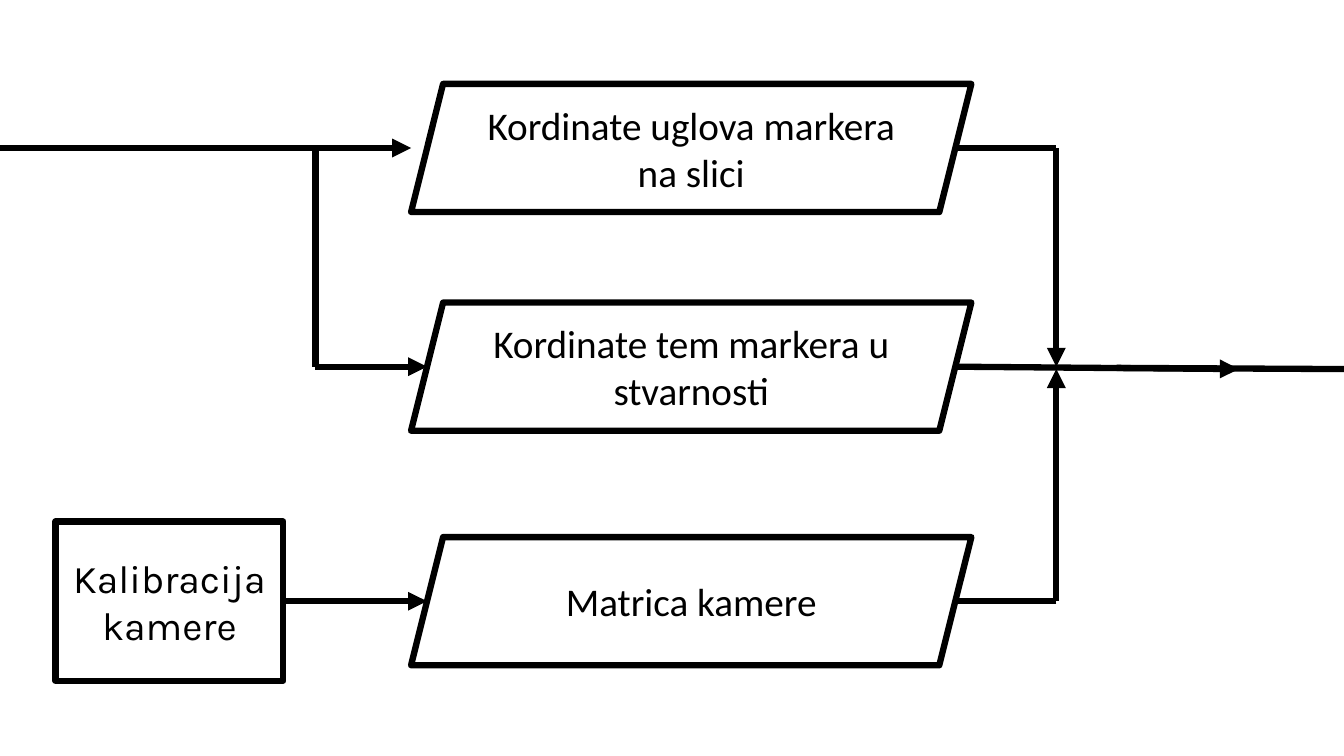
"""Builds the flowchart slide for marker coordinates and camera calibration."""
from typing import NamedTuple

from lxml.etree import SubElement
from pptx import Presentation
from pptx.dml.color import RGBColor
from pptx.enum.shapes import MSO_CONNECTOR, MSO_SHAPE
from pptx.enum.text import MSO_ANCHOR, PP_ALIGN
from pptx.oxml.ns import qn
from pptx.slide import Slide
from pptx.util import Cm, Pt

BLACK = RGBColor(0x00, 0x00, 0x00)
LINE_WIDTH = Pt(4.5)
TEXT_SIZE = Pt(28)

SLIDE_W, SLIDE_H = 33.87, 19.05
DATA_X, DATA_W, DATA_H = 10.36, 14.12, 3.23
SLANT = 0.4
IMAGE_Y, WORLD_Y, CAMERA_Y = 3.73, 9.24, 15.15
DATA_IN, DATA_OUT = DATA_X + SLANT, DATA_X + DATA_W - SLANT
BRANCH_X, MERGE_X, EXIT_X = 7.95, 26.62, 31.22
EXIT_Y = 9.3
CALIB_X, CALIB_W, CALIB_H = 1.4, 5.74, 4.01


class Box(NamedTuple):
    """A labelled shape centred vertically on mid_y."""
    text: str
    kind: MSO_SHAPE
    x: float
    mid_y: float
    w: float
    h: float
    font: str


class Link(NamedTuple):
    """A straight line with an optional arrowhead at its end."""
    x1: float
    y1: float
    x2: float
    y2: float
    arrow: bool = False


def data_box(text: str, mid_y: float) -> Box:
    """Describes one data parallelogram."""
    return Box(text, MSO_SHAPE.PARALLELOGRAM, DATA_X, mid_y, DATA_W, DATA_H, "Calibri")


BOXES = [
    data_box("Kordinate uglova markera na slici", IMAGE_Y),
    data_box("Kordinate tem markera u stvarnosti", WORLD_Y),
    data_box("Matrica kamere", CAMERA_Y),
    Box("Kalibracija kamere", MSO_SHAPE.RECTANGLE, CALIB_X, CAMERA_Y, CALIB_W, CALIB_H, "Karla"),
]

LINKS = [
    Link(0, IMAGE_Y, DATA_X, IMAGE_Y, True),
    Link(BRANCH_X, WORLD_Y, DATA_IN, WORLD_Y, True),
    Link(BRANCH_X, WORLD_Y, BRANCH_X, IMAGE_Y),
    Link(CALIB_X + CALIB_W, CAMERA_Y, DATA_IN, CAMERA_Y, True),
    Link(MERGE_X, IMAGE_Y, MERGE_X, WORLD_Y, True),
    Link(DATA_OUT, WORLD_Y, EXIT_X, EXIT_Y, True),
    Link(MERGE_X, CAMERA_Y, DATA_OUT, CAMERA_Y),
    Link(MERGE_X, IMAGE_Y, DATA_OUT, IMAGE_Y),
    Link(MERGE_X, CAMERA_Y, MERGE_X, EXIT_Y, True),
    Link(SLIDE_W, EXIT_Y, 28.14, 9.27),
]


def draw_box(s: Slide, box: Box) -> None:
    """Draws an outlined shape with centred text."""
    sp = s.shapes.add_shape(box.kind, Cm(box.x), Cm(box.mid_y - box.h / 2), Cm(box.w), Cm(box.h))
    sp.shadow.inherit = False
    sp.fill.background()
    sp.line.color.rgb = BLACK
    sp.line.width = LINE_WIDTH
    tf = sp.text_frame
    tf.word_wrap = True
    tf.vertical_anchor = MSO_ANCHOR.MIDDLE
    tf.text = box.text
    p = tf.paragraphs[0]
    p.alignment = PP_ALIGN.CENTER
    r = p.runs[0]
    r.font.name = box.font
    r.font.size = TEXT_SIZE
    r.font.color.rgb = BLACK


def draw_link(s: Slide, link: Link) -> None:
    """Draws a straight connector."""
    cxn = s.shapes.add_connector(
        MSO_CONNECTOR.STRAIGHT, Cm(link.x1), Cm(link.y1), Cm(link.x2), Cm(link.y2))
    cxn.line.color.rgb = BLACK
    cxn.line.width = LINE_WIDTH
    if link.arrow:
        SubElement(cxn.line._get_or_add_ln(), qn("a:tailEnd"), type="triangle")
    SubElement(cxn._element.spPr, qn("a:effectLst"))


def main() -> None:
    """Builds and saves the slide."""
    prs = Presentation()
    prs.slide_width, prs.slide_height = Cm(SLIDE_W), Cm(SLIDE_H)
    s = prs.slides.add_slide(prs.slide_layouts[6])
    for box in BOXES:
        draw_box(s, box)
    for link in LINKS:
        draw_link(s, link)
    prs.save("out.pptx")


if __name__ == "__main__":
    main()
